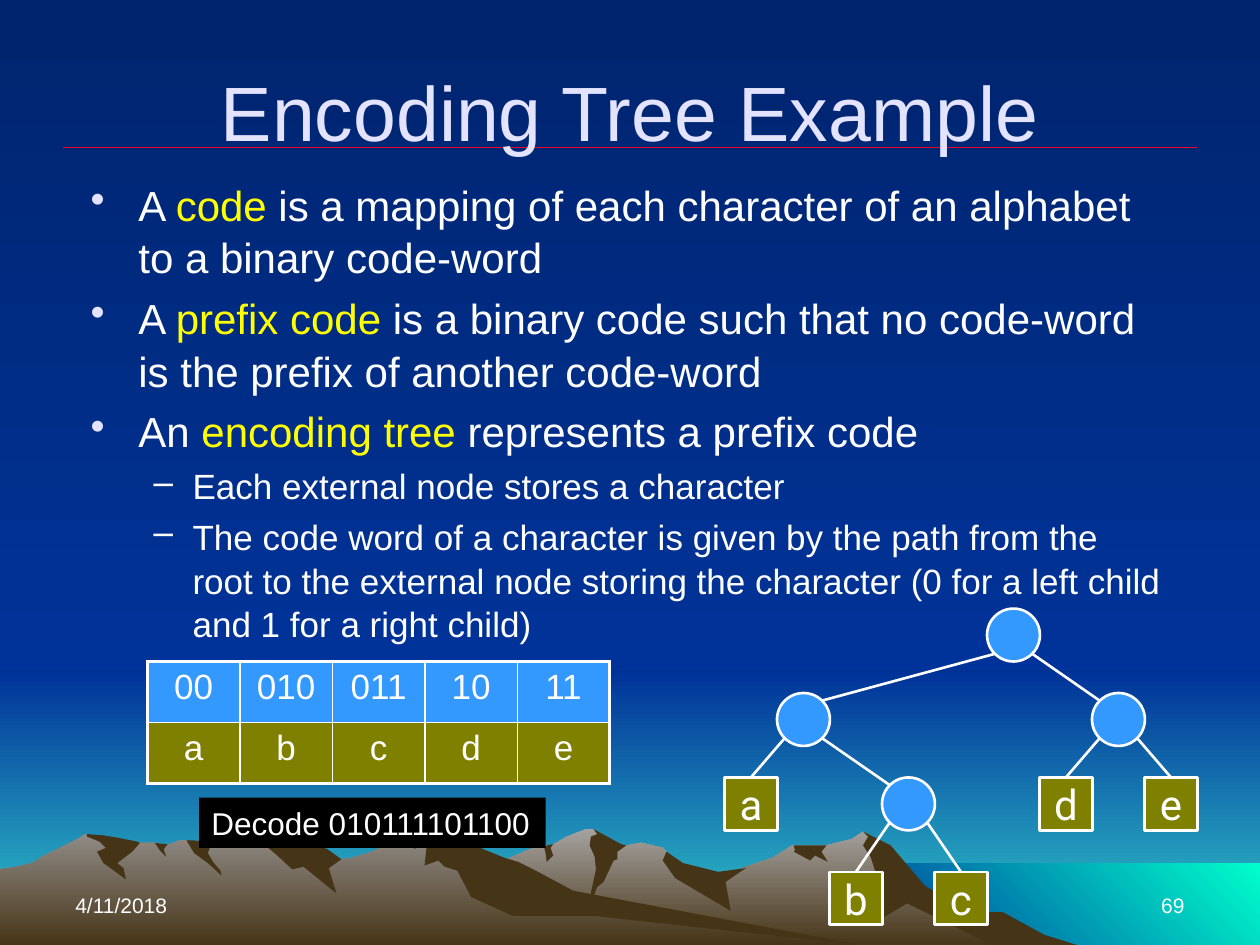
from dataclasses import dataclass
from lxml.etree import SubElement
from pptx import Presentation
from pptx.dml.color import RGBColor
from pptx.enum.shapes import MSO_CONNECTOR, MSO_SHAPE
from pptx.enum.text import MSO_ANCHOR, PP_ALIGN
from pptx.oxml.ns import qn
from pptx.util import Inches, Pt


@dataclass(frozen=True)
class Theme:
    font: str = "Arial"
    leaf_font: str = "Roboto"
    white: str = "FFFFFF"
    black: str = "000000"
    title: str = "E3E3FF"
    key: str = "FFFF00"
    rule: str = "EF0129"
    node: str = "3399FF"
    leaf: str = "808000"
    shade: str = "463416"
    sky: tuple = ("00246D", "003399", 90)
    haze: tuple = ("003399", "33CCCC", 90)
    sea: tuple = ("003399", "00FFCC", 315)
    peak: tuple = ("A5A29F", "463416", 90)
    ridge: tuple = ("938F8B", "463416", 90)
    title_size: int = 44
    body_size: int = 24
    sub_size: int = 20
    note_size: int = 18
    foot_size: int = 12


T = Theme()
PEAK = [(802, 740), (778, 727), (764, 723), (723, 698), (702, 671), (685, 660), (676, 666), (656, 671),
        (629, 671), (613, 681), (566, 697), (536, 690), (529, 676), (526, 673), (509, 669), (486, 673),
        (474, 661), (471, 658), (465, 658), (450, 664), (438, 671), (430, 671), (418, 675), (405, 681),
        (394, 685), (355, 698), (327, 709), (277, 739), (258, 751), (821, 751)]
RIDGE = [(690, 751), (667, 748), (432, 712), (354, 665), (331, 663), (327, 668), (323, 668), (318, 664),
         (296, 676), (279, 681), (271, 682), (260, 676), (236, 681), (223, 663), (219, 660), (212, 658),
         (196, 658), (191, 662), (178, 666), (160, 671), (148, 667), (143, 667), (132, 671), (123, 669),
         (111, 669), (94, 671), (68, 662), (56, 669), (46, 674), (35, 679), (26, 685), (14, 688),
         (0, 690), (0, 751)]
PEAK_SHADES = [
    [(796, 724), (771, 724), (734, 703), (707, 671), (685, 660), (689, 664), (685, 671), (691, 680),
     (698, 702), (693, 733), (720, 717), (792, 752), (858, 751), (829, 742)],
    [(471, 658), (474, 662), (469, 664), (468, 671), (472, 680), (473, 690), (465, 727), (474, 704),
     (479, 700), (487, 683), (490, 682), (490, 676), (497, 671), (493, 670)],
    [(529, 676), (526, 683), (536, 697), (580, 723), (576, 700), (592, 689), (570, 692), (542, 685)],
    [(650, 671), (630, 671), (631, 675), (630, 676), (643, 683), (647, 679), (657, 684), (652, 676),
     (656, 671)],
    [(433, 677), (432, 673), (434, 671), (439, 670), (437, 673), (439, 679), (434, 684)],
]
RIDGE_SHADES = [
    [(212, 663), (208, 669), (219, 678), (232, 690), (241, 688), (267, 709), (261, 689), (271, 682),
     (260, 674), (245, 668), (232, 663), (220, 661), (213, 659)],
    [(370, 668), (354, 665), (344, 665), (339, 669), (337, 687), (348, 683), (353, 688), (363, 691),
     (374, 712), (407, 727), (472, 727), (690, 751), (683, 750), (455, 707), (427, 692), (411, 684),
     (401, 681), (386, 675)],
    [(318, 667), (320, 666), (318, 664), (323, 667), (327, 667), (330, 674), (322, 669), (319, 672)],
    [(154, 667), (168, 669), (165, 677), (169, 684), (175, 691), (176, 695), (165, 685), (154, 677),
     (148, 667)],
    [(133, 670), (130, 674), (132, 680), (127, 675), (123, 669)],
    [(109, 668), (111, 669), (105, 676), (93, 685), (98, 689), (100, 698), (82, 685), (77, 676),
     (84, 673), (79, 668), (69, 664), (69, 662), (82, 663), (94, 665)],
]
BULLETS = [
    (0, ["A ", "code", " is a mapping of each character of an alphabet to a binary code-word"]),
    (0, ["A ", "prefix code ", "is a binary code such that no code-word is the prefix of another code-word"]),
    (0, ["An ", "encoding tree ", "represents a prefix code"]),
    (1, ["Each external node stores a character"]),
    (1, ["The code word of a character is given by the path from the root to the external node "
         "storing the character (0 for a left child and 1 for a right child)"]),
]
LEVELS = [dict(char="•", left=0.38, hang=0.38, size=T.body_size, color=T.title),
          dict(char="–", left=0.81, hang=0.31, size=T.sub_size, color=T.white)]
CODES = [["00", "010", "011", "10", "11"], list("abcde")]
TREE = (5, 0, [(1, 1, [(0, 2, "a"), (3, 2, [(2, 3, "b"), (4, 3, "c")])]),
               (7, 1, [(6, 2, "d"), (8, 2, "e")])])
TREE_TOPS = [4.83, 5.5, 6.17, 6.92]
NODE = 0.42


def rgb(color):
    return RGBColor.from_string(color)


def assign(obj, values):
    for name, value in values.items():
        setattr(obj, name, value)


class Deck:
    def __init__(self, theme):
        self.t = theme
        self.prs = Presentation()
        assign(self.prs, dict(slide_width=Inches(10), slide_height=Inches(7.5)))
        self.s = self.prs.slides.add_slide(self.prs.slide_layouts[5])
        self.paint(self.s.background.fill, theme.sky)

    def paint(self, fill, color):
        if isinstance(color, str):
            fill.solid()
            fill.fore_color.rgb = rgb(color)
            return
        *stops, angle = color
        fill.gradient()
        fill.gradient_angle = 360 - angle
        for stop, c in zip(fill.gradient_stops, stops):
            stop.color.rgb = rgb(c)

    def finish(self, sp, fill, line=None):
        sp.shadow.inherit = False
        self.paint(sp.fill, fill)
        if line:
            sp.line.color.rgb = rgb(line)
            sp.line.width = Pt(1.5)
        else:
            sp.line.fill.background()
        return sp

    def shape(self, kind, box, fill, line=None):
        return self.finish(self.s.shapes.add_shape(kind, *map(Inches, box)), fill, line)

    def outline(self, points, fill):
        fb = self.s.shapes.build_freeform(*points[0], scale=Inches(0.01))
        fb.add_line_segments(points[1:], close=True)
        self.finish(fb.convert_to_shape(), fill)

    def line(self, start, end, color, width):
        c = self.s.shapes.add_connector(MSO_CONNECTOR.STRAIGHT, *map(Inches, (*start, *end)))
        c.line.color.rgb = rgb(color)
        c.line.width = Pt(width)
        SubElement(c._element.spPr, qn("a:effectLst"))

    def run(self, p, text, size, color, font=None):
        r = p.add_run()
        r.text = text
        assign(r.font, dict(name=font or self.t.font, size=Pt(size)))
        r.font.color.rgb = rgb(color)

    def label(self, sp, text, size, color=T.white, align=PP_ALIGN.LEFT, anchor=MSO_ANCHOR.TOP,
              wrap=True, font=None):
        tf = sp.text_frame
        assign(tf, dict(word_wrap=wrap, vertical_anchor=anchor))
        p = tf.paragraphs[0]
        p.alignment = align
        self.run(p, text, size, color, font)

    def text(self, box, text, size, **style):
        sp = self.s.shapes.add_textbox(*map(Inches, box))
        self.label(sp, text, size, **style)
        return sp

    def title(self, box, text):
        sp = self.s.shapes.title
        self.s.shapes._spTree.append(sp._element)
        assign(sp, dict(zip(("left", "top", "width", "height"), map(Inches, box))))
        self.label(sp, text, self.t.title_size, self.t.title, PP_ALIGN.CENTER, MSO_ANCHOR.MIDDLE)

    def bullets(self, box, items):
        tf = self.s.shapes.add_textbox(*map(Inches, box)).text_frame
        tf.word_wrap = True
        for i, (level, parts) in enumerate(items):
            p = tf.add_paragraph() if i else tf.paragraphs[0]
            f = LEVELS[level]
            assign(p, dict(level=level, line_spacing=1.04, space_before=Pt(f["size"] * 0.2 if i else 0)))
            pPr = p._p.get_or_add_pPr()
            pPr.set("marL", str(Inches(f["left"])))
            pPr.set("indent", str(-Inches(f["hang"])))
            SubElement(SubElement(pPr, qn("a:buClr")), qn("a:srgbClr"), val=f["color"])
            SubElement(pPr, qn("a:buChar"), char=f["char"])
            for j, part in enumerate(parts):
                self.run(p, part, f["size"], self.t.key if j == 1 else self.t.white)

    def border(self, cell, sides):
        tcPr = cell._tc.get_or_add_tcPr()
        for i, (side, width) in enumerate(sides.items()):
            ln = tcPr.makeelement(qn("a:" + side), {"w": str(Pt(width))})
            SubElement(SubElement(ln, qn("a:solidFill")), qn("a:srgbClr"), val=self.t.white)
            tcPr.insert(i, ln)

    def table(self, box, rows, fills):
        n, m = len(rows), len(rows[0])
        tbl = self.s.shapes.add_table(n, m, *map(Inches, box)).table
        assign(tbl, dict(first_row=False, horz_banding=False))
        for i, row in enumerate(rows):
            for j, text in enumerate(row):
                cell = tbl.cell(i, j)
                self.paint(cell.fill, fills[i])
                self.label(cell, text, self.t.sub_size, align=PP_ALIGN.CENTER)
                edges = dict(lnL=j == 0, lnR=j == m - 1, lnT=i == 0, lnB=i == n - 1)
                self.border(cell, {side: 2.25 if outer else 1 for side, outer in edges.items()})

    def tree(self, node):
        col, level, content = node
        x, y = 5.75 + col * 5 / 12, TREE_TOPS[level]
        cx, cy, d = x + NODE / 2, y + NODE / 2, 0.15
        box = (x, y, NODE, NODE)
        if isinstance(content, str):
            sp = self.shape(MSO_SHAPE.RECTANGLE, box, self.t.leaf, self.t.white)
            self.label(sp, content, self.t.body_size, align=PP_ALIGN.CENTER,
                       anchor=MSO_ANCHOR.MIDDLE, wrap=False, font=self.t.leaf_font)
            return lambda side: (cx, y)
        self.shape(MSO_SHAPE.OVAL, box, self.t.node, self.t.white)
        for side, child in zip((-1, 1), content):
            joint = self.tree(child)
            self.line((cx + side * d, cy + d), joint(side), self.t.white, 1.5)
        return lambda side: (cx - side * d, cy - d)


def main():
    d = Deck(T)
    d.shape(MSO_SHAPE.RECTANGLE, (0, 5.33, 10, 2.17), T.haze)
    d.shape(MSO_SHAPE.RECTANGLE, (0, 0, 10, 5.33), T.sky)
    d.shape(MSO_SHAPE.RECTANGLE, (6.83, 6.85, 3.17, 0.67), T.sea)
    for base, fill, shades in ((PEAK, T.peak, PEAK_SHADES), (RIDGE, T.ridge, RIDGE_SHADES)):
        d.outline(base, fill)
        for points in shades:
            d.outline(points, T.shade)
    d.line((0.5, 1.17), (9.5, 1.17), T.rule, 0.75)
    d.title((0.5, 0.25, 9, 1.25), "Encoding Tree Example")
    d.bullets((0.62, 1.36, 8.75, 3.25), BULLETS)
    d.text((0.5, 6.83, 2.33, 0.5), "4/11/2018", T.foot_size, anchor=MSO_ANCHOR.BOTTOM)
    d.text((7.17, 6.83, 2.33, 0.5), "69", T.foot_size, align=PP_ALIGN.RIGHT, anchor=MSO_ANCHOR.BOTTOM)
    d.tree(TREE)
    d.table((1.17, 5.25, 3.67, 0.97), CODES, (T.node, T.leaf))
    d.paint(d.text((1.58, 6.33, 2.75, 0.4), "Decode 010111101100", T.note_size, wrap=False).fill, T.black)
    d.prs.save("out.pptx")


if __name__ == "__main__":
    main()
